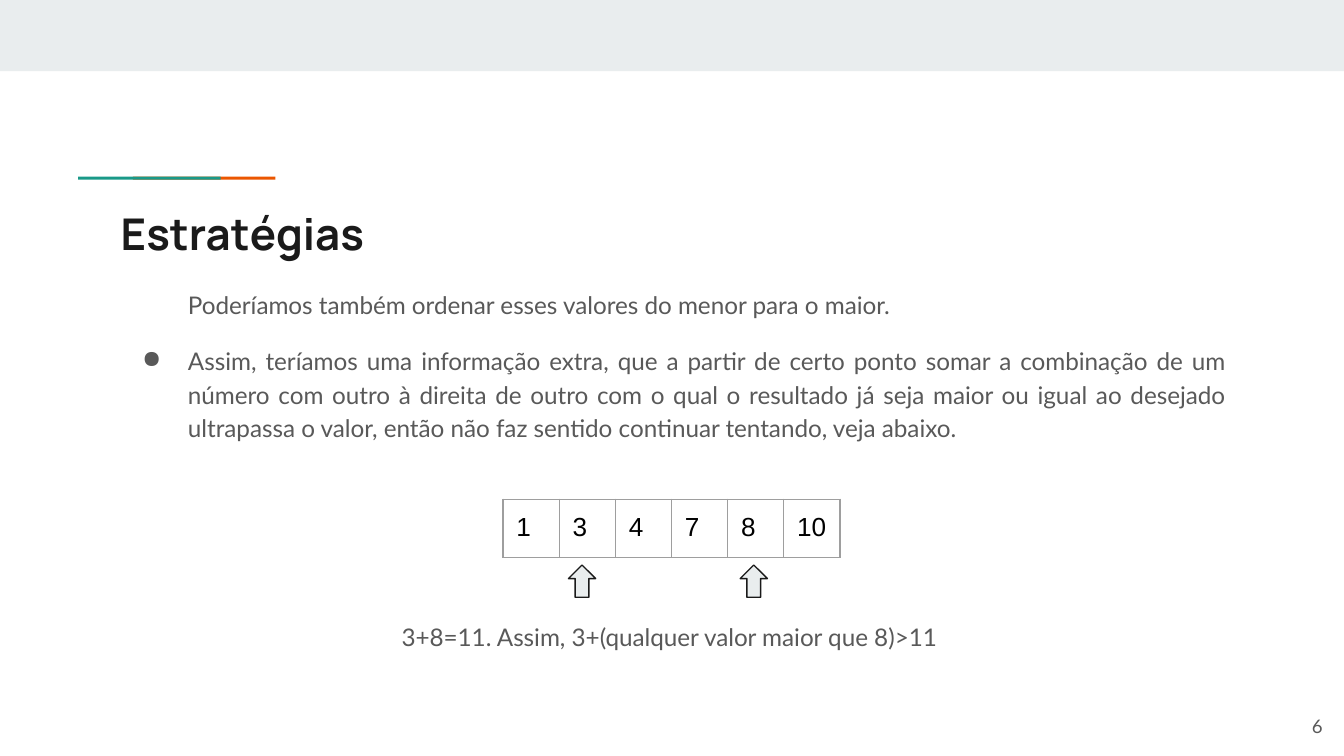
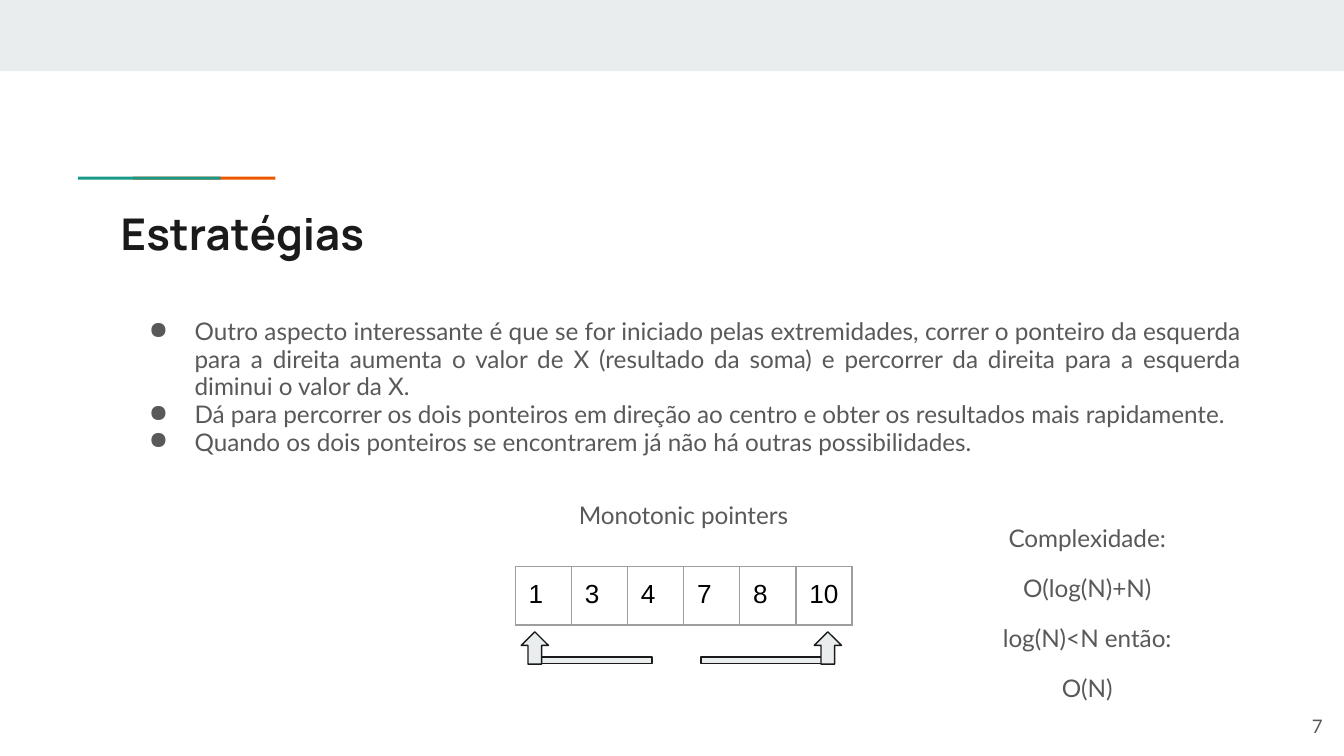
import pptx
import pptx.dml.color
import pptx.enum.shapes
import pptx.enum.text
import pptx.oxml
import pptx.oxml.ns
import pptx.util
from lxml import etree

Pt = pptx.util.Pt
RGBColor = pptx.dml.color.RGBColor
SHAPE = pptx.enum.shapes.MSO_SHAPE
ALIGN = pptx.enum.text.PP_ALIGN
ANCHOR = pptx.enum.text.MSO_ANCHOR
qn = pptx.oxml.ns.qn

BAND = RGBColor(0xE9, 0xED, 0xEE)
ORANGE = RGBColor(0xEB, 0x56, 0x00)
TEAL = RGBColor(0x1A, 0x99, 0x88)
INK = RGBColor(0x1A, 0x1A, 0x1A)
GRAY = RGBColor(0x59, 0x59, 0x59)
BLACK = RGBColor(0x00, 0x00, 0x00)
BORDER = RGBColor(0x9E, 0x9E, 0x9E)

WIDTH, HEIGHT = 720, 405
INSET = 7.2
CELL = 30.1
VALUES = [1, 3, 4, 7, 8, 10]
ARROW_WIDTH, ARROW_HEIGHT = 14.6, 17.3


def add_figure(slide, kind, left, top, width, height, fill, line=None):
    shape = slide.shapes.add_shape(kind, Pt(left), Pt(top), Pt(width), Pt(height))
    shape.shadow.inherit = False
    shape.fill.solid()
    shape.fill.fore_color.rgb = fill
    if line is None:
        shape.line.fill.background()
    else:
        shape.line.color.rgb = line
        shape.line.width = Pt(0.75)


def set_indent(paragraph, left, hanging=0, bullet=None):
    properties = paragraph._p.get_or_add_pPr()
    properties.set("marL", str(Pt(left)))
    properties.set("indent", str(-Pt(hanging)))
    if bullet:
        color = etree.SubElement(properties, qn("a:buClr"))
        etree.SubElement(color, qn("a:srgbClr")).set("val", str(GRAY))
        etree.SubElement(properties, qn("a:buChar")).set("char", bullet)


def add_text(slide, left, top, width, height, lines, size=13, font="Lato", color=GRAY,
             bold=False, align=ALIGN.LEFT, anchor=ANCHOR.TOP, spacing=1.0, gap=0):
    """Add a text box with one paragraph per line and return its paragraphs."""
    box = slide.shapes.add_textbox(Pt(left), Pt(top), Pt(width), Pt(height))
    frame = box.text_frame
    frame.word_wrap = True
    frame.vertical_anchor = anchor
    frame.margin_left = frame.margin_right = Pt(INSET)
    frame.margin_top = frame.margin_bottom = Pt(INSET)
    frame.text = "\n".join(lines)
    for index, paragraph in enumerate(frame.paragraphs):
        paragraph.alignment = align
        paragraph.line_spacing = spacing
        paragraph.space_before = Pt(gap if index else 0)
        paragraph.font.size = Pt(size)
        paragraph.font.name = font
        paragraph.font.bold = bold
        paragraph.font.color.rgb = color
    return frame.paragraphs


def set_borders(cell):
    properties = cell._tc.get_or_add_tcPr()
    for position, side in enumerate(("a:lnL", "a:lnR", "a:lnT", "a:lnB")):
        line = pptx.oxml.parse_xml(
            f'<{side} xmlns:a="http://schemas.openxmlformats.org/drawingml/2006/main" '
            f'w="{Pt(0.75)}"><a:solidFill><a:srgbClr val="{BORDER}"/></a:solidFill></{side}>')
        properties.insert(position, line)


def add_array(slide, left, top):
    """Add the sorted values as a one-row table of square cells."""
    table = slide.shapes.add_table(1, len(VALUES), Pt(left), Pt(top),
                                   Pt(CELL * len(VALUES)), Pt(CELL)).table
    table.first_row = table.horz_banding = False
    table.rows[0].height = Pt(CELL)
    for index, value in enumerate(VALUES):
        table.columns[index].width = Pt(CELL)
        cell = table.cell(0, index)
        cell.fill.background()
        cell.margin_left = cell.margin_right = Pt(INSET)
        cell.margin_top = cell.margin_bottom = Pt(INSET)
        cell.text = str(value)
        font = cell.text_frame.paragraphs[0].font
        font.size = Pt(14)
        font.name = "Arial"
        font.color.rgb = BLACK
        set_borders(cell)


def add_pointers(slide, lefts, top):
    for left in lefts:
        add_figure(slide, SHAPE.UP_ARROW, left, top, ARROW_WIDTH, ARROW_HEIGHT, BAND, INK)


def add_strategy_slide(presentation, number):
    """Add a slide with the shared band, accent line, title and page number."""
    slide = presentation.slides.add_slide(presentation.slide_layouts[6])
    add_figure(slide, SHAPE.RECTANGLE, 0, 0, WIDTH, 38.2, BAND)
    for left, color in ((71.2, ORANGE), (41.9, TEAL)):
        add_figure(slide, SHAPE.RECTANGLE, left, 94.7, 76.3, 1.6, color)
    add_text(slide, 57.6, 103.7, 605.5, 42.5, ["Estratégias"], size=23.4,
             font="Manrope", color=INK, bold=True)
    add_text(slide, 672.5, 373.7, 43.2, 31, [str(number)], size=10,
             align=ALIGN.RIGHT, anchor=ANCHOR.MIDDLE)
    return slide


def add_sorting_slide(presentation):
    slide = add_strategy_slide(presentation, 6)
    intro, detail = add_text(slide, 57.6, 146.2, 605.5, 110.9, [
        "Poderíamos também ordenar esses valores do menor para o maior.",
        "Assim, teríamos uma informação extra, que a partir de certo ponto somar a "
        "combinação de um número com outro à direita de outro com o qual o resultado já "
        "seja maior ou igual ao desejado ultrapassa o valor, então não faz sentido "
        "continuar tentando, veja abaixo.",
    ], align=ALIGN.JUSTIFY, spacing=1.15, gap=12)
    set_indent(intro, 36)
    set_indent(detail, 36, 24.5, "●")
    add_array(slide, 269.5, 267.5)
    add_pointers(slide, (304.5, 396.5), 302.7)
    add_text(slide, 208, 324, 303.8, 33.8,
             ["3+8=11. Assim, 3+(qualquer valor maior que 8)>11"],
             align=ALIGN.JUSTIFY, spacing=1.15)


def add_pointers_slide(presentation):
    slide = add_strategy_slide(presentation, 7)
    points = add_text(slide, 61.2, 163.4, 610, 88.6, [
        "Outro aspecto interessante é que se for iniciado pelas extremidades, correr o "
        "ponteiro da esquerda para a direita aumenta o valor de X (resultado da soma) e "
        "percorrer da direita para a esquerda diminui o valor da X.",
        "Dá para percorrer os dois ponteiros em direção ao centro e obter os resultados "
        "mais rapidamente.",
        "Quando os dois ponteiros se encontrarem já não há outras possibilidades.",
    ], align=ALIGN.JUSTIFY, spacing=0.95)
    for paragraph in points:
        set_indent(paragraph, 36, 24.5, "●")
    for left, width in ((375.6, 70), (283, 66.3)):
        add_figure(slide, SHAPE.RECTANGLE, left, 352, width, 3.6, BAND, INK)
    add_array(slide, 276, 303.6)
    add_pointers(slide, (279.2, 436.2), 338.5)
    add_text(slide, 527, 274.3, 110.9, 111.6,
             ["Complexidade:", "O(log(N)+N)", "log(N)<N então:", "O(N)"],
             align=ALIGN.CENTER, spacing=0.95, gap=12)
    add_text(slide, 298.8, 258.5, 134.6, 42.5, ["Monotonic pointers"],
             align=ALIGN.CENTER, spacing=1.15)


def main():
    presentation = pptx.Presentation()
    presentation.slide_width = Pt(WIDTH)
    presentation.slide_height = Pt(HEIGHT)
    add_sorting_slide(presentation)
    add_pointers_slide(presentation)
    presentation.save("out.pptx")


if __name__ == "__main__":
    main()
